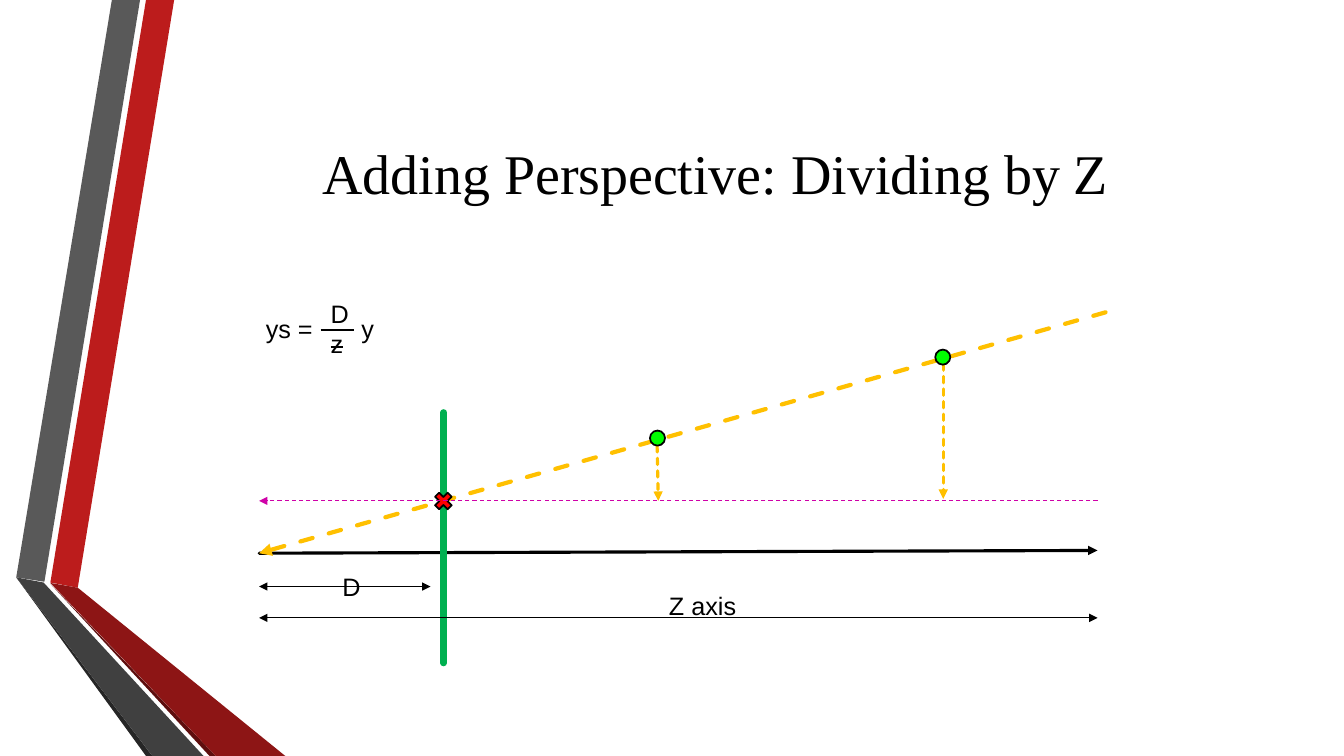
from dataclasses import dataclass

from pptx import Presentation
from pptx.dml.color import RGBColor
from pptx.enum.dml import MSO_LINE
from pptx.enum.shapes import MSO_CONNECTOR, MSO_SHAPE
from pptx.enum.text import MSO_ANCHOR, PP_ALIGN
from pptx.oxml.ns import qn
from pptx.util import Cm, Pt
from lxml.etree import SubElement

INK = {
    "black": "000000", "red": "BC1C1C", "gray": "595959",
    "coal": "262626", "wine": "5E0E0E", "brick": "8D1515",
    "slate": "404040", "green": "00B050", "gold": "FFC000",
    "pink": "CF01A8", "cross": "FF0000", "lime": "00FF00",
}
EYE, FAR, LEVEL = 6.53, 27.66, 12.62


@dataclass
class Band:
    ink: str
    points: list[tuple[float, float]]


@dataclass
class Line:
    start: tuple[float, float]
    end: tuple[float, float]
    ink: str
    width: float
    dash: MSO_LINE | None = None
    head: bool = False
    tail: bool = False


@dataclass
class Label:
    text: str
    box: tuple[float, float, float, float]
    size: int = 18
    font: str = "Arial"
    wrap: bool = True
    tab: float = 0
    strike: str = ""


@dataclass
class Mark:
    kind: MSO_SHAPE
    left: float
    top: float
    size: float
    ink: str


BANDS = [
    Band("red", [(1.27, 14.68), (1.96, 14.81), (4.39, 0), (3.68, 0)]),
    Band("gray", [(3.53, 0), (2.82, 0), (0.41, 14.55), (1.12, 14.66)]),
    Band("coal", [(0.41, 14.55), (3.68, 19.05), (3.84, 19.05)]),
    Band("wine", [(1.27, 14.71), (5.28, 19.05), (5.44, 19.05)]),
    Band("brick", [(1.27, 14.69), (5.44, 19.05), (7.19, 19.05), (1.96, 14.81)]),
    Band("slate", [(5.13, 19.05), (1.1, 14.68), (0.41, 14.55), (3.84, 19.05)]),
]
BACK = [
    Line((EYE, 13.94), (FAR, 13.87), "black", 2.25, tail=True),
    Line((11.18, 10.39), (11.18, 16.71), "green", 4.5),
    Line((27.86, 7.87), (EYE, 13.94), "gold", 3, MSO_LINE.DASH, tail=True),
    Line((8.08, 8.31), (8.92, 8.31), "black", 1.5),
    Line((EYE, 14.78), (10.85, 14.78), "black", 0.75, head=True, tail=True),
    Line((EYE, 15.57), (FAR, 15.57), "black", 0.75, head=True, tail=True),
]
FRONT = [
    Line((FAR, LEVEL), (EYE, LEVEL), "pink", 0.75, MSO_LINE.DASH, tail=True),
    Line((16.56, 11.23), (16.59, LEVEL), "gold", 2.25, MSO_LINE.SQUARE_DOT, tail=True),
    Line((23.77, 9.17), (23.77, 12.57), "gold", 2.25, MSO_LINE.SQUARE_DOT, tail=True),
]
LABELS = [
    Label("ys =\ty", (6.45, 7.77, 3.25, 1.02), tab=2.41),
    Label("D\nz", (8.08, 7.39, 0.84, 1.8), strike="z"),
    Label("D", (8.38, 14.27, 0.97, 1.02), wrap=False),
    Label("Z axis", (16.61, 14.76, 2.24, 1.02), wrap=False),
]
TITLE = Label("Adding Perspective: Dividing by Z", (4.11, 1.9, 27.84, 4.88),
              40, "Times New Roman")
CROSS = Mark(MSO_SHAPE.MATH_MULTIPLY, 10.87, 12.32, 0.61, "cross")
DOTS = [Mark(MSO_SHAPE.OVAL, x, y, 0.38, "lime")
        for x, y in ((16.38, 10.85), (23.57, 8.81))]

deck = Presentation()
deck.slide_width, deck.slide_height = Cm(33.87), Cm(19.05)
shapes = deck.slides.add_slide(deck.slide_layouts[6]).shapes


def tint(name: str) -> RGBColor:
    return RGBColor.from_string(INK[name])


def draw_band(band: Band) -> None:
    first, *rest = [(Cm(x), Cm(y)) for x, y in band.points]
    pen = shapes.build_freeform(*first)
    pen.add_line_segments(rest)
    shape = pen.convert_to_shape()
    shape.shadow.inherit = False
    shape.fill.solid()
    shape.fill.fore_color.rgb = tint(band.ink)
    shape.line.fill.background()


def draw_line(line: Line) -> None:
    ends = [Cm(n) for n in (*line.start, *line.end)]
    wire = shapes.add_connector(MSO_CONNECTOR.STRAIGHT, *ends)
    wire.line.color.rgb = tint(line.ink)
    wire.line.width = Pt(line.width)
    if line.dash:
        wire.line.dash_style = line.dash
    props = wire._element.spPr
    stroke = props.find(qn("a:ln"))
    if line.width > 2:
        stroke.set("cap", "rnd")
    for tag, shown in (("a:headEnd", line.head), ("a:tailEnd", line.tail)):
        if shown:
            SubElement(stroke, qn(tag), type="triangle")
    SubElement(props, qn("a:effectLst"))


def draw_label(label: Label, align: PP_ALIGN = PP_ALIGN.LEFT,
               anchor: MSO_ANCHOR = MSO_ANCHOR.TOP) -> None:
    frame = shapes.add_textbox(*[Cm(n) for n in label.box]).text_frame
    frame.word_wrap = label.wrap
    frame.vertical_anchor = anchor
    frame.text = label.text
    for para in frame.paragraphs:
        para.alignment = align
        if label.tab:
            tabs = SubElement(para._p.get_or_add_pPr(), qn("a:tabLst"))
            SubElement(tabs, qn("a:tab"), pos=str(Cm(label.tab)), algn="l")
        para.font.size = Pt(label.size)
        para.font.name = label.font
        para.font.color.rgb = tint("black")
        for run in para.runs:
            if run.text == label.strike:
                run._r.get_or_add_rPr().set("strike", "sngStrike")


def draw_mark(mark: Mark) -> None:
    box = [Cm(n) for n in (mark.left, mark.top, mark.size, mark.size)]
    shape = shapes.add_shape(mark.kind, *box)
    shape.shadow.inherit = False
    shape.fill.solid()
    shape.fill.fore_color.rgb = tint(mark.ink)
    shape.line.color.rgb = tint("black")
    shape.line.width = Pt(1.25)


def main() -> None:
    for band in BANDS:
        draw_band(band)
    draw_label(TITLE, PP_ALIGN.CENTER, MSO_ANCHOR.MIDDLE)
    for line in BACK:
        draw_line(line)
    for label in LABELS:
        draw_label(label)
    draw_mark(CROSS)
    for line in FRONT:
        draw_line(line)
    for dot in DOTS:
        draw_mark(dot)
    deck.save("out.pptx")


if __name__ == "__main__":
    main()
